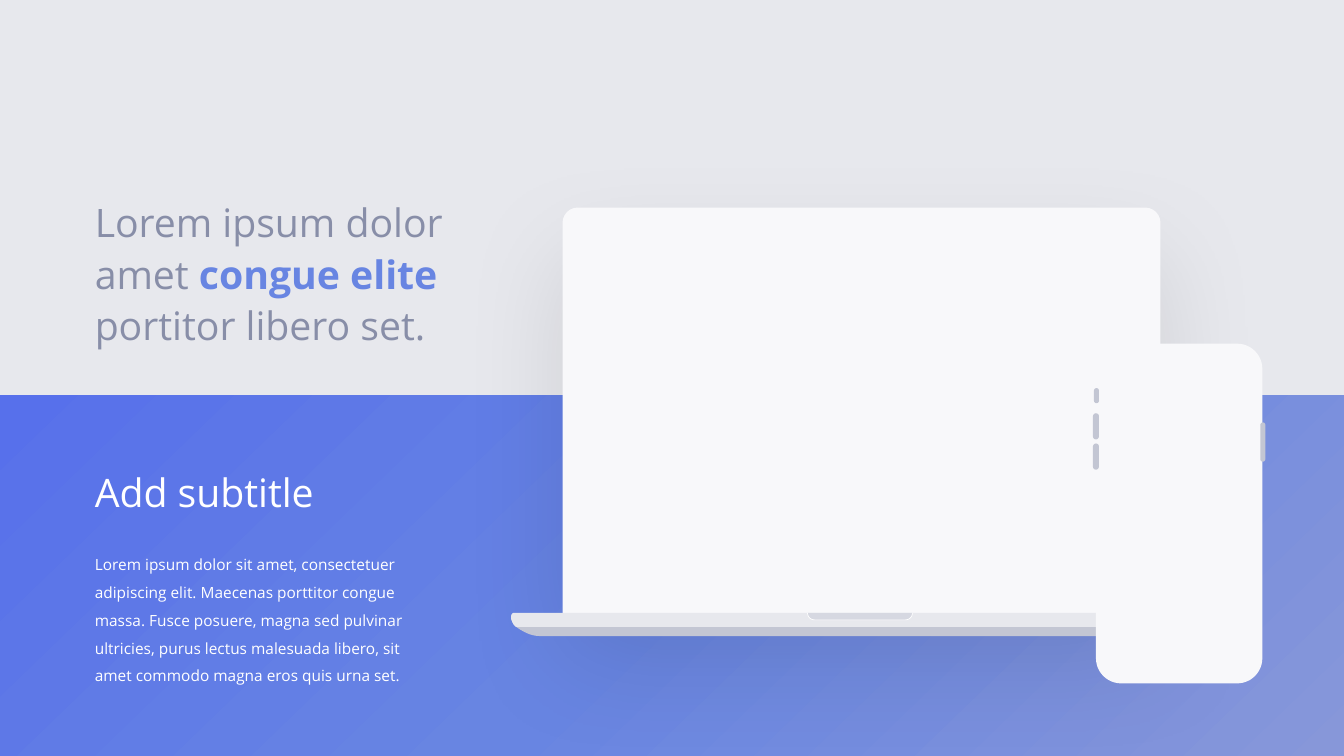
"""Build a slide with a headline, a subtitle and blank laptop and phone mockups."""
from lxml import etree
from pptx import Presentation
from pptx.dml.color import RGBColor
from pptx.enum.shapes import MSO_SHAPE
from pptx.enum.text import MSO_ANCHOR, MSO_AUTO_SIZE
from pptx.oxml.ns import qn
from pptx.util import Inches, Pt

RECTANGLE = MSO_SHAPE.RECTANGLE
ROUNDED = MSO_SHAPE.ROUNDED_RECTANGLE
TOP_ROUNDED = MSO_SHAPE.ROUND_2_SAME_RECTANGLE
TOP, BOTTOM = MSO_ANCHOR.TOP, MSO_ANCHOR.BOTTOM
FIT_TEXT = MSO_AUTO_SIZE.SHAPE_TO_FIT_TEXT

FONT = "Open Sans"
WHITE = RGBColor(0xFF, 0xFF, 0xFF)
PALE = RGBColor(0xE7, 0xE8, 0xED)
DEVICE = RGBColor(0xF8, 0xF8, 0xFA)
METAL = RGBColor(0xC3, 0xC6, 0xD3)
SLATE = RGBColor(0x88, 0x8E, 0xA8)
BLACK = RGBColor(0, 0, 0)
BLUE_STOPS = [
    (0, RGBColor(0x57, 0x70, 0xEB)),
    (50, RGBColor(0x68, 0x85, 0xE2)),
    (100, RGBColor(0x87, 0x97, 0xD9)),
]

BAND = (0, 3.92, 13.33, 3.58)
SCREEN = (5.58, 2.06, 5.93, 4.03)
PHONE = (10.87, 3.41, 1.65, 3.37)
PHONE_KEYS = [
    (12.5, 4.19, 0.05, 0.39),
    (10.84, 4.1, 0.06, 0.26),
    (10.84, 4.4, 0.06, 0.26),
    (10.85, 3.85, 0.05, 0.15),
]

LAPTOP_CENTER = 8.53
BASE_TOP = [(5.1, 6.08), (5.08, 6.08), (5.07, 6.1), (5.07, 6.11)]
BASE_SIDE = [(5.07, 6.14), (5.08, 6.17), (5.09, 6.2), (5.12, 6.22)]
BASE_UNDER = [(5.12, 6.22), (5.19, 6.27), (5.27, 6.31), (5.35, 6.31)]
NOTCH = [(8.01, 6.08), (8.01, 6.12), (8.04, 6.15), (8.08, 6.15)]

TEXTS = [
    ((0.94, 5.37, 3.29, 1.46), TOP, 1.5, 11, [
        ("Lorem ipsum dolor sit amet, consectetuer adipiscing elit. "
         "Maecenas porttitor congue massa. Fusce posuere, magna sed pulvinar "
         "ultricies, purus lectus malesuada libero, sit amet commodo magna "
         "eros quis urna set.", WHITE)]),
    ((0.94, 4.59, 3.73, 0.57), BOTTOM, 1.0, 28, [("Add subtitle", WHITE)]),
    ((0.94, 1.88, 3.73, 1.63), BOTTOM, 1.1, 28, [
        ("Lorem ipsum dolor amet ", SLATE),
        ("congue elite ", None),
        ("portitor libero set.", SLATE)]),
]


def set_gradient(fill, owner, angle):
    fill.solid()
    solid = owner.find(qn("a:solidFill"))
    gradient = etree.Element(qn("a:gradFill"), rotWithShape="1")
    stops = etree.SubElement(gradient, qn("a:gsLst"))
    for position, color in BLUE_STOPS:
        stop = etree.SubElement(stops, qn("a:gs"), pos=str(position * 1000))
        etree.SubElement(stop, qn("a:srgbClr"), val=str(color))
    etree.SubElement(gradient, qn("a:lin"), ang=str(angle * 60000), scaled="0")
    owner.replace(solid, gradient)


def set_alpha(color_element, percent):
    etree.SubElement(color_element, qn("a:alpha"), val=str(percent * 1000))


def paint(shape, color):
    shape.shadow.inherit = False
    shape.line.fill.background()
    shape.fill.solid()
    shape.fill.fore_color.rgb = color
    return shape


def add_preset(shapes, kind, box, color, radius=None):
    shape = paint(shapes.add_shape(kind, *map(Inches, box)), color)
    if radius is not None:
        shape.adjustments[0] = radius / min(box[2:])
    return shape


def add_soft_shadow(shape):
    effects = shape._element.spPr.find(qn("a:effectLst"))
    shadow = etree.SubElement(
        effects, qn("a:outerShdw"), blurRad=str(Pt(76)), dist=str(Pt(34)),
        dir=str(90 * 60000), algn="t", rotWithShape="0")
    set_alpha(etree.SubElement(shadow, qn("a:srgbClr"), val=str(BLACK)), 9)


def sample(curve, steps=10):
    points = []
    for step in range(steps + 1):
        t = step / steps
        weights = ((1 - t) ** 3, 3 * t * (1 - t) ** 2, 3 * t * t * (1 - t), t ** 3)
        points.append(tuple(
            sum(weight * point[axis] for weight, point in zip(weights, curve))
            for axis in (0, 1)))
    return points


def add_symmetric(shapes, curves, color, close=True):
    left = [point for curve in curves for point in sample(curve)]
    right = [(2 * LAPTOP_CENTER - x, y) for x, y in reversed(left)]
    points = [(Inches(x), Inches(y)) for x, y in left + right]
    builder = shapes.build_freeform(*points[0])
    builder.add_line_segments(points[1:], close=close)
    return paint(builder.convert_to_shape(), color)


def add_laptop(shapes):
    add_soft_shadow(add_preset(shapes, TOP_ROUNDED, SCREEN, DEVICE, 0.15))
    add_symmetric(shapes, [BASE_SIDE, BASE_UNDER], METAL)
    add_symmetric(shapes, [BASE_TOP, BASE_SIDE], PALE)
    notch = add_symmetric(shapes, [NOTCH], METAL)
    set_alpha(notch._element.spPr.find(qn("a:solidFill"))[0], 45)
    rim = add_symmetric(shapes, [NOTCH], WHITE, close=False)
    rim.fill.background()
    rim.line.color.rgb = WHITE
    rim.line.width = Pt(0.5)


def add_phone(shapes):
    add_preset(shapes, ROUNDED, PHONE, DEVICE, 0.25)
    for key in PHONE_KEYS:
        add_preset(shapes, ROUNDED, key, METAL, key[2] / 2)


def add_text(shapes, box, anchor, spacing, size, runs):
    frame = shapes.add_textbox(*map(Inches, box)).text_frame
    frame.word_wrap = True
    frame.auto_size = FIT_TEXT
    frame.vertical_anchor = anchor
    frame.margin_left = frame.margin_right = 0
    frame.margin_top = frame.margin_bottom = Inches(0.05)
    paragraph = frame.paragraphs[0]
    paragraph.line_spacing = spacing
    for text, color in runs:
        run = paragraph.add_run()
        run.text = text
        run.font.name = FONT
        run.font.size = Pt(size)
        if color is None:
            run.font.bold = True
            set_gradient(run.font.fill, run._r.get_or_add_rPr(), 45)
        else:
            run.font.color.rgb = color


def main():
    presentation = Presentation()
    presentation.slide_width = Inches(13.33)
    presentation.slide_height = Inches(7.5)
    slide = presentation.slides.add_slide(presentation.slide_layouts[6])
    slide.background.fill.solid()
    slide.background.fill.fore_color.rgb = PALE
    band = add_preset(slide.shapes, RECTANGLE, BAND, WHITE)
    set_gradient(band.fill, band._element.spPr, 46)
    add_laptop(slide.shapes.add_group_shape().shapes)
    add_phone(slide.shapes.add_group_shape().shapes)
    for text in TEXTS:
        add_text(slide.shapes, *text)
    presentation.save("out.pptx")


if __name__ == "__main__":
    main()
